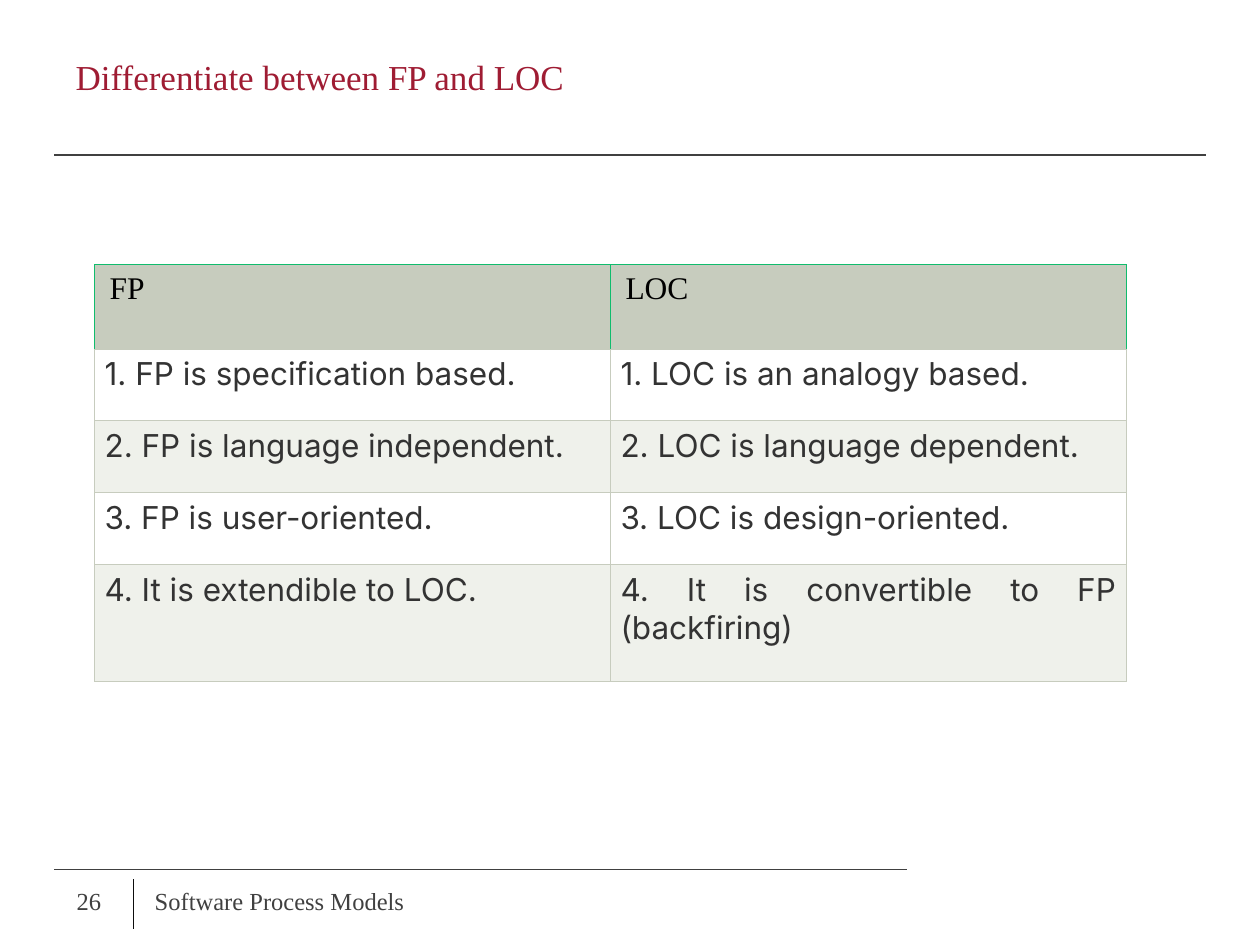
import dataclasses

import lxml.etree
import pptx
import pptx.dml.color
import pptx.enum.shapes
import pptx.enum.text
import pptx.oxml.ns
import pptx.util

Inches = pptx.util.Inches
ALIGN = pptx.enum.text.PP_ALIGN
ANCHOR = pptx.enum.text.MSO_ANCHOR


@dataclasses.dataclass(frozen=True)
class Theme:
    """Colours, fonts and type sizes of the slide."""
    title: str = "9F1C33"
    header_text: str = "000000"
    body_text: str = "333333"
    footer_text: str = "404040"
    rule: str = "404040"
    divider: str = "0D0D0D"
    header_fill: str = "C7CCBE"
    header_border: str = "10BC6D"
    border: str = "C7CCBE"
    bands: tuple = ("FFFFFF", "EFF1EB")
    serif: str = "Times New Roman"
    sans: str = "Inter"
    title_size: int = 20
    table_size: int = 18
    footer_size: int = 14
    rule_width: float = 0.75
    border_width: float = 0.34


T = Theme()
ROWS = [
    ("FP", "LOC"),
    ("1. FP is specification based.", "1. LOC is an analogy based."),
    ("2. FP is language independent.", "2. LOC is language dependent."),
    ("3. FP is user-oriented.", "3. LOC is design-oriented."),
    ("4. It is extendible to LOC.", "4. It is convertible to FP (backfiring)"),
]


def rgb(color):
    """Return the colour object of a hex string."""
    return pptx.dml.color.RGBColor.from_string(color)


def put_text(tf, text, *, size, color, font=T.serif, align=ALIGN.LEFT):
    """Write one formatted paragraph into a text frame."""
    tf.word_wrap = True
    p = tf.paragraphs[0]
    p.alignment = align
    r = p.add_run()
    r.text = text
    r.font.size = pptx.util.Pt(size)
    r.font.name = font
    r.font.bold = False
    r.font.color.rgb = rgb(color)


def add_rule(s, x1, y1, x2, y2, color=T.rule):
    """Draw a thin straight line without shadow."""
    line = s.shapes.add_connector(
        pptx.enum.shapes.MSO_CONNECTOR.STRAIGHT,
        Inches(x1), Inches(y1), Inches(x2), Inches(y2))
    line.line.color.rgb = rgb(color)
    line.line.width = pptx.util.Pt(T.rule_width)
    lxml.etree.SubElement(line._element.spPr, pptx.oxml.ns.qn("a:effectLst"))


def set_borders(cell, left, right, top, bottom):
    """Give the four sides of a cell their border colours."""
    tcPr = cell._tc.get_or_add_tcPr()
    sides = zip(("lnL", "lnR", "lnT", "lnB"), (left, right, top, bottom))
    for i, (tag, color) in enumerate(sides):
        tcPr.insert(i, pptx.oxml.parse_xml(
            f'<a:{tag} {pptx.oxml.ns.nsdecls("a")} w="{pptx.util.Pt(T.border_width)}">'
            f'<a:solidFill><a:srgbClr val="{color}"/></a:solidFill></a:{tag}>'))


def add_title(s, text, left, top, width, height):
    """Place the title in its box with the rule along the bottom."""
    sp = s.shapes.title
    sp.left, sp.top, sp.width, sp.height = map(Inches, (left, top, width, height))
    tf = sp.text_frame
    tf.vertical_anchor = ANCHOR.MIDDLE
    tf.margin_left = tf.margin_right = Inches(0.1)
    tf.margin_top, tf.margin_bottom = Inches(0.05), Inches(0.37)
    put_text(tf, text, size=T.title_size, color=T.title)
    bottom = top + height
    add_rule(s, left - 0.07, bottom, left + width + 0.07, bottom)


def fill_cell(cell, text, row):
    """Format one table cell as header or banded body."""
    header = row == 0
    cell.margin_left = cell.margin_right = Inches(0.12 if header else 0.08)
    cell.margin_top = cell.margin_bottom = Inches(0.05)
    cell.fill.solid()
    if header:
        cell.fill.fore_color.rgb = rgb(T.header_fill)
        put_text(cell.text_frame, text, size=T.table_size, color=T.header_text)
        set_borders(cell, *[T.header_border] * 3, T.border)
    else:
        cell.fill.fore_color.rgb = rgb(T.bands[(row - 1) % 2])
        put_text(cell.text_frame, text, size=T.table_size, color=T.body_text,
                 font=T.sans, align=ALIGN.JUSTIFY)
        set_borders(cell, *[T.border] * 4)


def add_comparison(s, rows, left, top, width, height):
    """Build the two-column comparison table."""
    table = s.shapes.add_table(
        len(rows), 2, Inches(left), Inches(top), Inches(width), Inches(height)).table
    table.first_row = table.horz_banding = False
    for row, h in zip(table.rows, (0.67, 0.57, 0.57, 0.57, 0.93)):
        row.height = Inches(h)
    for i, texts in enumerate(rows):
        for j, text in enumerate(texts):
            fill_cell(table.cell(i, j), text, i)


def add_footer(s, number, text, left, top, width, height):
    """Place the footer rule, page number, divider and text."""
    add_rule(s, left, top, left + width, top)
    add_rule(s, left + 0.63, top + 0.08, left + 0.63, top + height, T.divider)
    for label, dx, w in ((text, 0.7, 3.17), (number, 0.08, 0.52)):
        tf = s.shapes.add_textbox(
            Inches(left + dx), Inches(top + 0.05), Inches(w), Inches(0.4)).text_frame
        tf.vertical_anchor = ANCHOR.MIDDLE
        put_text(tf, label, size=T.footer_size, color=T.footer_text)


def main():
    """Build and save the slide."""
    prs = pptx.Presentation()
    prs.slide_width, prs.slide_height = Inches(10), Inches(7.5)
    s = prs.slides.add_slide(prs.slide_layouts[5])
    add_title(s, "Differentiate between FP and LOC", 0.5, 0.3, 9, 0.93)
    add_comparison(s, ROWS, 0.75, 2.1, 8.19, 3.31)
    add_footer(s, "26", "Software Process Models", 0.43, 6.9, 6.77, 0.47)
    prs.save("out.pptx")


if __name__ == "__main__":
    main()
